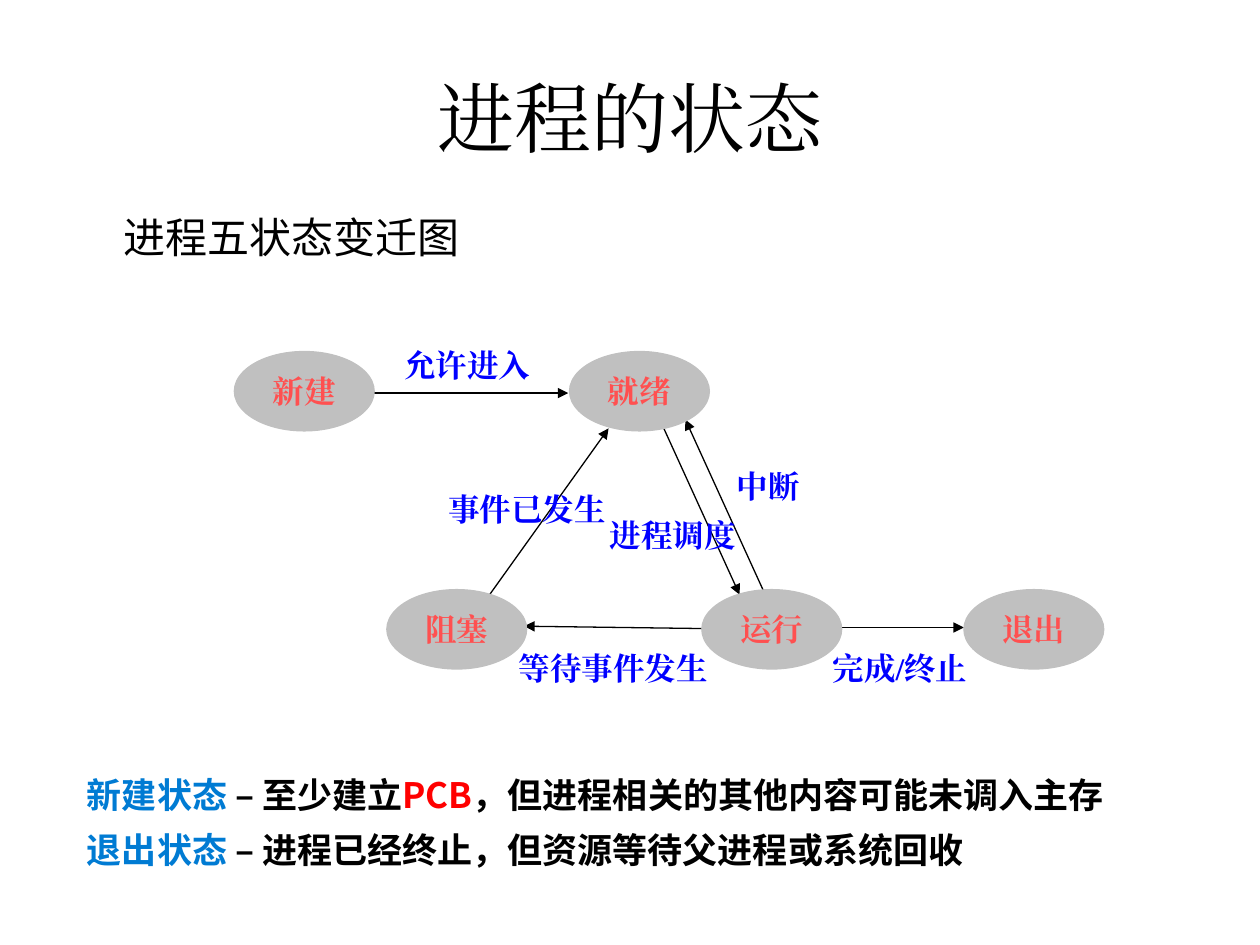
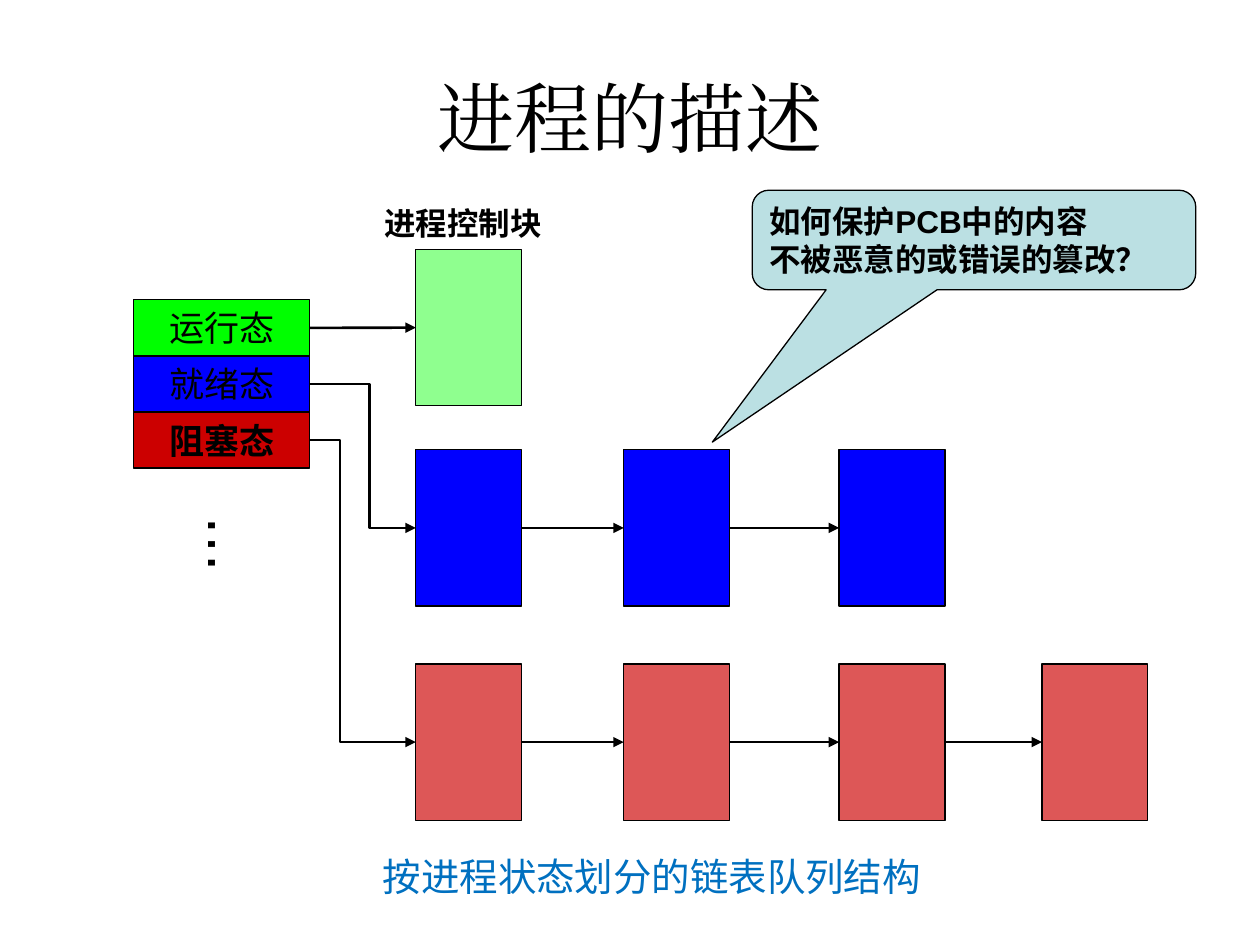
import dataclasses

import lxml.etree
import pptx
import pptx.dml.color
import pptx.enum.shapes
import pptx.enum.text
import pptx.oxml.ns
import pptx.util

SHAPE = pptx.enum.shapes.MSO_SHAPE
CONNECTOR = pptx.enum.shapes.MSO_CONNECTOR
ALIGN = pptx.enum.text.PP_ALIGN
ANCHOR = pptx.enum.text.MSO_ANCHOR
qn = pptx.oxml.ns.qn
rgb = pptx.dml.color.RGBColor.from_string


@dataclasses.dataclass(frozen=True)
class Theme:
    ink: str = "000000"
    ellipse: str = "C0C0C0"
    state: str = "FF5050"
    transition: str = "0000FF"
    term: str = "007BD3"
    alert: str = "FF0000"
    caption: str = "0070C0"
    running: str = "00FF00"
    ready: str = "0000FF"
    blocked: str = "CC0000"
    callout: str = "BBE0E3"
    serif: str = "Times New Roman"
    sans: str = "Roboto"
    heavy: str = "Noto Sans CJK SC"
    arial: str = "Arial"
    symbol: str = "DejaVu Sans"
    title_size: int = 44
    dots_size: int = 32
    lead_size: int = 24
    caption_size: int = 22
    body_size: int = 20
    label_size: int = 18
    thin: float = 0.75
    thick: float = 1.5


theme = Theme()
deck = pptx.Presentation()
deck.slide_width = pptx.util.Inches(10)
deck.slide_height = pptx.util.Inches(7.5)
CELL = deck.slide_width // 100


def write(frame, lines, font, size, bold=False, align=None, anchor=None):
    frame.word_wrap = True
    frame.auto_size = pptx.enum.text.MSO_AUTO_SIZE.NONE
    if anchor is not None:
        frame.vertical_anchor = anchor
    for number, line in enumerate(lines):
        paragraph = frame.add_paragraph() if number else frame.paragraphs[0]
        paragraph.alignment = align
        paragraph.space_before = pptx.util.Pt(0)
        for words, color in line:
            run = paragraph.add_run()
            run.text = words
            run.font.size = pptx.util.Pt(size)
            run.font.bold = bold
            run.font.color.rgb = rgb(color)
            run.font.name = font
            lxml.etree.SubElement(run.font._element, qn("a:ea"), typeface=font)


def add_arrow(slide, kind, start, end, width):
    ends = [round(length) for length in (*start, *end)]
    arrow = slide.shapes.add_connector(kind, *ends)
    arrow.line.color.rgb = rgb(theme.ink)
    arrow.line.width = pptx.util.Pt(width)
    properties = arrow._element.spPr
    lxml.etree.SubElement(properties.find(qn("a:ln")), qn("a:tailEnd"), type="triangle")
    lxml.etree.SubElement(properties, qn("a:effectLst"))
    return arrow


states_slide = deck.slides.add_slide(deck.slide_layouts[3])
queues_slide = deck.slides.add_slide(deck.slide_layouts[5])
for slide, heading in ((states_slide, "进程的状态"), (queues_slide, "进程的描述")):
    title = slide.shapes.title
    title.left, title.top, title.width, title.height = [round(n * CELL) for n in (5, 3, 90, 12.5)]
    write(title.text_frame, [[(heading, theme.ink)]], theme.serif, theme.title_size,
          align=ALIGN.CENTER, anchor=ANCHOR.MIDDLE)

lead_lines = [[("进程五状态变迁图", theme.ink)]]
note_lines = [
    [("新建状态 ", theme.term), ("– 至少建立", theme.ink), ("PCB", theme.alert),
     ("，但进程相关的其他内容可能未调入主存", theme.ink)],
    [("退出状态 ", theme.term), ("– 进程已经终止，但资源等待父进程或系统回收", theme.ink)],
]
for index, place, lines, font, size, bold, spacing in (
    (1, (8.8, 16.3, 78, 6.6), lead_lines, theme.sans, theme.lead_size, False, 1.0),
    (2, (5.9, 59.9, 93.1, 12.1), note_lines, theme.heavy, theme.body_size, True, 1.3),
):
    body = states_slide.placeholders[index]
    body.left, body.top, body.width, body.height = [round(n * CELL) for n in place]
    write(body.text_frame, lines, font, size, bold)
    for paragraph in body.text_frame.paragraphs:
        paragraph.line_spacing = spacing
        indents = paragraph._p.get_or_add_pPr()
        indents.set("marL", str(round(3.8 * CELL)))
        indents.set("indent", str(round(-3.8 * CELL)))
        lxml.etree.SubElement(indents, qn("a:buNone"))

for start, end in (
    ((29.5, 31.2), (45.1, 31.2)),
    ((38.5, 47.7), (48.3, 34)),
    ((52, 32.5), (58.7, 47.2)),
    ((61.1, 48), (54.4, 33.3)),
    ((56.8, 49.9), (41.6, 49.7)),
    ((65.4, 49.8), (76.5, 49.8)),
):
    add_arrow(states_slide, CONNECTOR.STRAIGHT, [n * CELL for n in start],
              [n * CELL for n in end], theme.thin)

UPPER_ROW, LOWER_ROW = 27.9, 46.8
for name, column, row in (
    ("新建", 18.6, UPPER_ROW),
    ("就绪", 45.2, UPPER_ROW),
    ("阻塞", 30.7, LOWER_ROW),
    ("运行", 55.7, LOWER_ROW),
    ("退出", 76.5, LOWER_ROW),
):
    state = states_slide.shapes.add_shape(
        SHAPE.OVAL, *[round(n * CELL) for n in (column, row, 11.1, 6.3)])
    state.shadow.inherit = False
    state.fill.solid()
    state.fill.fore_color.rgb = rgb(theme.ellipse)
    state.line.color.rgb = rgb(theme.ellipse)
    state.line.width = pptx.util.Pt(theme.thin)
    write(state.text_frame, [[(name, theme.state)]], theme.serif, theme.label_size,
          True, ALIGN.CENTER, ANCHOR.MIDDLE)

for name, column, row in (
    ("允许进入", 31.1, 27),
    ("中断", 57.5, 36.6),
    ("事件已发生", 34.6, 38.4),
    ("进程调度", 47.4, 40.5),
    ("等待事件发生", 40.2, 51),
    ("完成/终止", 65.1, 51),
):
    transition = states_slide.shapes.add_textbox(
        *[round(n * CELL) for n in (column, row, 17.8, 6.3)])
    write(transition.text_frame, [[(name, theme.transition)]], theme.serif,
          theme.label_size, True)

QUEUE_COLUMNS = (33, 49.5, 66.6, 82.7)
RIGHT_SITE, LEFT_SITE = 3, 1
STATE_TOP, STATE_HEIGHT = 23.8, 4.45
for number, (name, color, font, bold, opacity, row, length, bend) in enumerate((
    ("运行态", theme.running, theme.sans, False, 44, 19.8, 1, None),
    ("就绪态", theme.ready, theme.sans, False, 100, 35.7, 3, 56200),
    ("阻塞态", theme.blocked, theme.heavy, True, 66, 52.7, 4, 28600),
)):
    places = [(10.6, STATE_TOP + number * STATE_HEIGHT, 14, STATE_HEIGHT)]
    places += [(column, row, 8.4, 12.4) for column in QUEUE_COLUMNS[:length]]
    chain = []
    for place in places:
        block = queues_slide.shapes.add_shape(
            SHAPE.RECTANGLE, *[round(n * CELL) for n in place])
        block.shadow.inherit = False
        block.fill.solid()
        block.fill.fore_color.rgb = rgb(color)
        block.line.color.rgb = rgb(theme.ink)
        block.line.width = pptx.util.Pt(theme.thin)
        if chain and opacity < 100:
            tint = block._element.spPr.find(qn("a:solidFill"))[0]
            lxml.etree.SubElement(tint, qn("a:alpha"), val=str(opacity * 1000))
        chain.append(block)
    write(chain[0].text_frame, [[(name, theme.ink)]], font, theme.body_size, bold,
          ALIGN.CENTER, ANCHOR.MIDDLE)
    for source, target in zip(chain, chain[1:]):
        bent = bend is not None and source is chain[0]
        link = add_arrow(
            queues_slide, CONNECTOR.ELBOW if bent else CONNECTOR.STRAIGHT,
            (source.left + source.width, source.top + source.height / 2),
            (target.left, target.top + target.height / 2), theme.thick)
        link.begin_connect(source, RIGHT_SITE)
        link.end_connect(target, LEFT_SITE)
        if bent:
            guides = link._element.spPr.find(qn("a:prstGeom")).get_or_add_avLst()
            lxml.etree.SubElement(guides, qn("a:gd"), name="adj1", fmla=f"val {bend}")

for words, place, font, size, color, bold in (
    ("进程控制块", (29.5, 15.7, 19.4, 4.6), theme.heavy, theme.label_size, theme.ink, True),
    ("按进程状态划分的链表队列结构", (29.4, 67.2, 47, 5.3), theme.sans,
     theme.caption_size, theme.caption, False),
):
    caption = queues_slide.shapes.add_textbox(*[round(n * CELL) for n in place])
    write(caption.text_frame, [[(words, color)]], font, size, bold)

more_states = queues_slide.shapes.add_textbox(
    *[round(n * CELL) for n in (13.6, 38.9, 9.5, 8.7)])
more_states.rotation = 90
write(more_states.text_frame, [[("…", theme.ink)]], theme.symbol, theme.dots_size,
      align=ALIGN.CENTER, anchor=ANCHOR.MIDDLE)

question = queues_slide.shapes.add_shape(
    SHAPE.ROUNDED_RECTANGULAR_CALLOUT, *[round(n * CELL) for n in (59.7, 15.1, 35.2, 7.9)])
question.adjustments[0] = -0.59
question.adjustments[1] = 2.03
question.shadow.inherit = False
question.fill.solid()
question.fill.fore_color.rgb = rgb(theme.callout)
question.line.color.rgb = rgb(theme.ink)
question.line.width = pptx.util.Pt(theme.thin)
write(question.text_frame,
      [[("如何保护PCB中的内容", theme.ink)], [("不被恶意的或错误的篡改？", theme.ink)]],
      theme.arial, theme.label_size, True, ALIGN.LEFT, ANCHOR.MIDDLE)

deck.save("out.pptx")
